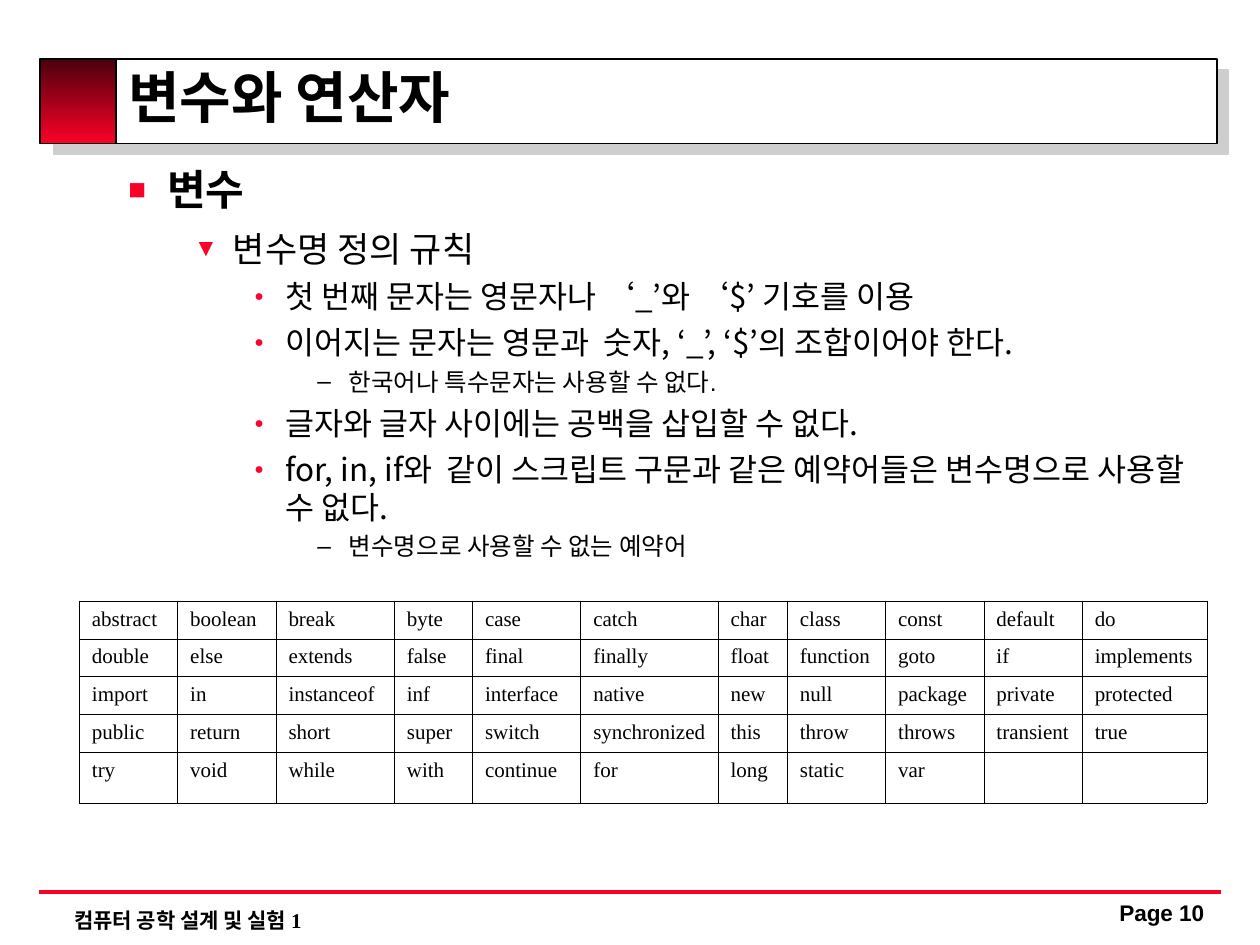
from lxml.etree import SubElement
from pptx import Presentation
from pptx.dml.color import RGBColor
from pptx.enum.shapes import MSO_CONNECTOR as Conn, MSO_SHAPE as Shape
from pptx.enum.text import MSO_ANCHOR as Anchor, PP_ALIGN as Align
from pptx.oxml.ns import qn
from pptx.util import Emu, Inches, Pt

RED, BLACK, WHITE, GREY = "FC0128", "000000", "FFFFFF", "CECECE"
SERIF, SANS, KOREAN = "Times New Roman", "Arial", "Noto Sans CJK KR"

TITLE = "변수와 연산자"
FOOTER = "컴퓨터 공학 설계 및 실험 1"
PAGE = "Page 10"

# level: indent, hang, space before, size, font, bold, bullet, its colour, its size in %
LEVELS = [
    (0.31, 0.31, 0, 24, KOREAN, True, "■", RED, 70),
    (0.83, 0.31, 7.5, 20, KOREAN, False, "▼", RED, 70),
    (1.25, 0.25, 4.5, 18, KOREAN, False, "●", "FF0033", 50),
    (1.75, 0.25, 3.5, 14, SANS, False, "–", BLACK, 100),
]
OUTLINE = [
    (0, "변수"),
    (1, "변수명 정의 규칙"),
    (2, "첫 번째 문자는 영문자나 ‘_’와 ‘$’ 기호를 이용"),
    (2, "이어지는 문자는 영문과  숫자, ‘_’, ‘$’의 조합이어야 한다."),
    (3, "한국어나 특수문자는 사용할 수 없다."),
    (2, "글자와 글자 사이에는 공백을 삽입할 수 없다."),
    (2, "for, in, if와  같이 스크립트 구문과 같은 예약어들은 변수명으로 사용할 수 없다."),
    (3, "변수명으로 사용할 수 없는 예약어"),
]
WORDS = [
    "abstract boolean break byte case catch char class const default do",
    "double else extends false final finally float function goto if implements",
    "import in instanceof inf interface native new null package private protected",
    "public return short super switch synchronized this throw throws transient true",
    "try void while with continue for long static var",
]
WIDTHS = [0.78, 0.78, 0.94, 0.62, 0.86, 1.09, 0.55, 0.78, 0.78, 0.78, 0.99]
ROW = 0.3

prs = Presentation()
prs.slide_width, prs.slide_height = Inches(10), Inches(7.5)
slide = prs.slides.add_slide(prs.slide_layouts[6])
shapes = slide.shapes


def rgb(code):
    return RGBColor.from_string(code)


def inches(*vals):
    return [Inches(v) for v in vals]


def style(para, size, font, bold=False):
    for run in para.runs:
        run.font.size, run.font.name, run.font.bold = Pt(size), font, bold
        run.font.color.rgb = rgb(BLACK)
        SubElement(run.font._element, qn("a:ea"), typeface=KOREAN)


def cast(props, dist):
    """Add a grey shadow towards the lower right to shape or run properties."""
    effects = props.find(qn("a:effectLst"))
    if effects is None:
        effects = SubElement(props, qn("a:effectLst"))
    shade = SubElement(effects, qn("a:outerShdw"), dist=str(Pt(dist)),
                       dir="2700000", algn="ctr", rotWithShape="0")
    SubElement(shade, qn("a:srgbClr"), val=GREY)


def panel(*box):
    rect = shapes.add_shape(Shape.RECTANGLE, *inches(*box))
    rect.shadow.inherit = False
    rect.line.color.rgb, rect.line.width = rgb(BLACK), Pt(1)
    return rect


def textbox(*box):
    frame = shapes.add_textbox(*inches(*box)).text_frame
    frame.word_wrap = True
    return frame


def label(text, box, size, font):
    frame = textbox(*box)
    frame.text = text
    style(frame.paragraphs[0], size, font, True)
    return frame


def bullet(para, indent, hang, mark, color, share):
    props = para._p.get_or_add_pPr()
    props.set("marL", str(Inches(indent)))
    props.set("indent", str(-Inches(hang)))
    SubElement(SubElement(props, qn("a:buClr")), qn("a:srgbClr"), val=color)
    SubElement(props, qn("a:buSzPct"), val=str(share * 1000))
    SubElement(props, qn("a:buFont"), typeface=SANS)
    SubElement(props, qn("a:buChar"), char=mark)


def border(cell):
    props = cell._tc.get_or_add_tcPr()
    for i, side in enumerate(("a:lnL", "a:lnR", "a:lnT", "a:lnB")):
        line = props.makeelement(qn(side), {"w": str(Pt(0.45))})
        fill = SubElement(line, qn("a:solidFill"))
        SubElement(fill, qn("a:srgbClr"), val=BLACK)
        props.insert(i, line)


# Header
bar = panel(0.34, 0.47, 9.32, 0.67)
bar.fill.solid()
bar.fill.fore_color.rgb = rgb(WHITE)
cast(bar._element.spPr, 8.5)

block = panel(0.32, 0.47, 0.6, 0.67)
block.fill.gradient()
block.fill.gradient_angle = 270
for stop, color in zip(block.fill.gradient_stops, ("4B000C", RED)):
    stop.color.rgb = rgb(color)

title = label(TITLE, (0.92, 0.44, 8.77, 0.75), 32, SERIF)
title.vertical_anchor = Anchor.MIDDLE
head = title.paragraphs[0]
head.line_spacing = 0.8
mark = head.runs[0].font._element
cast(mark, 2)
mark.insert(1, mark.find(qn("a:effectLst")))

# Footer
rule = shapes.add_connector(Conn.STRAIGHT, *inches(0.31, 7.08, 9.69, 7.08))
rule.line.color.rgb, rule.line.width = rgb(RED), Pt(2.25)
SubElement(rule._element.spPr, qn("a:effectLst"))
label(FOOTER, (0.49, 7.15, 6.68, 0.3), 12, SERIF)
page = label(PAGE, (8.68, 7.11, 1.08, 0.33), 12.9, SANS).paragraphs[0]
page.alignment, page.line_spacing = Align.CENTER, 0.9

# Outline
body = textbox(0.92, 1.25, 8.77, 5.31)
body.text = "\n".join(text for _, text in OUTLINE)
for para, (level, _) in zip(body.paragraphs, OUTLINE):
    indent, hang, gap, size, font, bold, sign, color, share = LEVELS[level]
    para.level = level
    bullet(para, indent, hang, sign, color, share)
    para.space_before = Pt(gap)
    style(para, size, font, bold)

# Reserved words
table = shapes.add_table(len(WORDS), len(WIDTHS), *inches(
    0.63, 4.77, sum(WIDTHS), ROW * len(WORDS))).table
table.first_row = table.horz_banding = False
for col, width in zip(table.columns, WIDTHS):
    col.width = Inches(width)
for r, line in enumerate(WORDS):
    table.rows[r].height = Inches(ROW)
    words = line.split()
    for c in range(len(WIDTHS)):
        cell = table.cell(r, c)
        cell.fill.background()
        border(cell)
        if c < len(words):
            cell.text = words[c]
            style(cell.text_frame.paragraphs[0], 12, SERIF)

prs.save("out.pptx")
